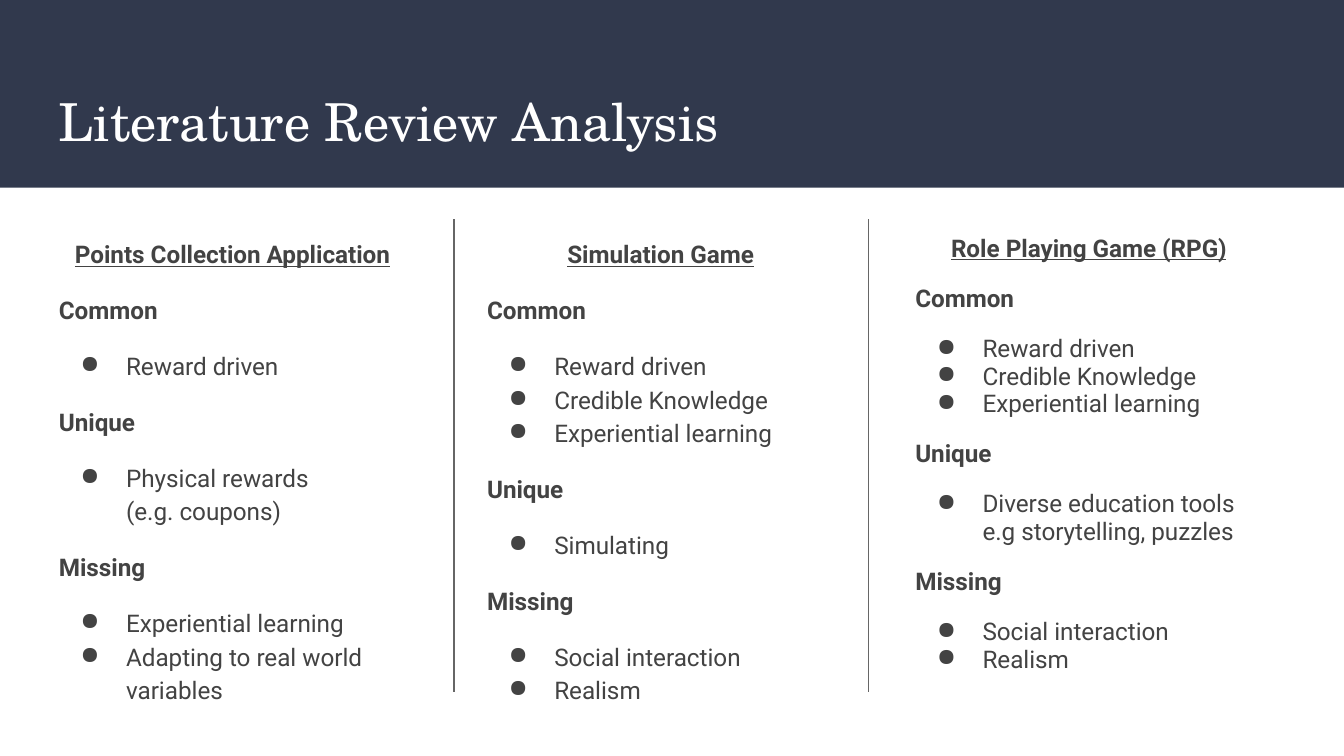
from dataclasses import dataclass

from lxml.etree import SubElement
from pptx import Presentation
from pptx.dml.color import RGBColor
from pptx.enum.shapes import MSO_CONNECTOR, MSO_SHAPE
from pptx.enum.text import MSO_ANCHOR, PP_ALIGN
from pptx.oxml.ns import qn
from pptx.util import Pt

NAVY, WHITE, TEXT_GREY, LINE_GREY = "31394D", "FFFFFF", "434343", "666666"
MARGIN = 24.5
BODY_TOP = 118.8
COLUMN_WIDTH = 200
COLUMN_PITCH = 229.4
SECTION_GAP = 12

TITLE_FORMAT = {"name": "TeX Gyre Schola", "size": Pt(28)}
BODY_FORMAT = {"name": "Roboto", "size": Pt(13), "bold": False}
LABEL_FORMAT = {**BODY_FORMAT, "bold": True}
HEADING_FORMAT = {**LABEL_FORMAT, "underline": True}


@dataclass
class Column:
    heading: str
    common: list[str]
    unique: list[str]
    missing: list[str]
    line_spacing: float = 1.15
    height: float = 267.8


COLUMNS = [
    Column("Points Collection Application",
           ["Reward driven"],
           ["Physical rewards \v(e.g. coupons)"],
           ["Experiential learning", "Adapting to real world variables"]),
    Column("Simulation Game",
           ["Reward driven", "Credible Knowledge", "Experiential learning"],
           ["Simulating"],
           ["Social interaction", "Realism"]),
    Column("Role Playing Game (RPG)",
           ["Reward driven", "Credible Knowledge", "Experiential learning"],
           ["Diverse education tools e.g storytelling, puzzles"],
           ["Social interaction", "Realism"],
           line_spacing=0.95, height=253.4),
]


def color(value: str) -> RGBColor:
    return RGBColor.from_string(value)


def add_text_frame(slide, left: float, top: float, width: float, height: float):
    frame = slide.shapes.add_textbox(Pt(left), Pt(top), Pt(width), Pt(height)).text_frame
    frame.word_wrap = True
    for side in ("left", "right", "top", "bottom"):
        setattr(frame, f"margin_{side}", Pt(7.2))
    return frame


def write(paragraph, text: str, text_format: dict, text_color: str) -> None:
    paragraph.text = text
    for run in paragraph.runs:
        for name, value in text_format.items():
            setattr(run.font, name, value)
        run.font.color.rgb = color(text_color)
    # Line breaks need the text size too
    for line_break in paragraph._p.findall(qn("a:br")):
        properties = SubElement(line_break, qn("a:rPr"))
        properties.set("sz", str(int(text_format["size"].pt * 100)))


def add_bullet(paragraph) -> None:
    properties = paragraph._p.get_or_add_pPr()
    properties.set("marL", str(Pt(36)))
    properties.set("indent", str(-Pt(24.5)))
    bullet_color = SubElement(properties, qn("a:buClr"))
    SubElement(bullet_color, qn("a:srgbClr")).set("val", TEXT_GREY)
    SubElement(properties, qn("a:buChar")).set("char", "●")


def add_column(slide, column: Column, left: float) -> None:
    frame = add_text_frame(slide, left, BODY_TOP, COLUMN_WIDTH, column.height)
    heading = frame.paragraphs[0]
    heading.alignment = PP_ALIGN.CENTER
    heading.line_spacing = column.line_spacing
    write(heading, column.heading, HEADING_FORMAT, TEXT_GREY)

    sections = {"Common": column.common, "Unique": column.unique, "Missing": column.missing}
    for label, items in sections.items():
        for index, text in enumerate([label, *items]):
            paragraph = frame.add_paragraph()
            paragraph.line_spacing = column.line_spacing
            paragraph.space_before = Pt(SECTION_GAP if index < 2 else 0)
            if index:
                add_bullet(paragraph)
            write(paragraph, text, BODY_FORMAT if index else LABEL_FORMAT, TEXT_GREY)


def add_divider(slide, x: float) -> None:
    line = slide.shapes.add_connector(
        MSO_CONNECTOR.STRAIGHT, Pt(x), Pt(117.4), Pt(x), Pt(370.8))
    line.line.color.rgb = color(LINE_GREY)
    line.line.width = Pt(0.75)
    SubElement(line._element.spPr, qn("a:effectLst"))


def main() -> None:
    presentation = Presentation()
    presentation.slide_width, presentation.slide_height = Pt(720), Pt(405)
    slide = presentation.slides.add_slide(presentation.slide_layouts[6])

    # Header band and title
    band = slide.shapes.add_shape(MSO_SHAPE.RECTANGLE, 0, 0, Pt(720), Pt(100.6))
    band.shadow.inherit = False
    band.fill.solid()
    band.fill.fore_color.rgb = color(NAVY)
    band.line.fill.background()
    title = add_text_frame(slide, MARGIN, 39.6, 671, 49)
    title.vertical_anchor = MSO_ANCHOR.BOTTOM
    write(title.paragraphs[0], "Literature Review Analysis", TITLE_FORMAT, WHITE)

    # Three columns of findings
    for index, column in enumerate(COLUMNS):
        add_column(slide, column, MARGIN + index * COLUMN_PITCH)

    # Dividers between the columns
    for x in (243.2, 465.2):
        add_divider(slide, x)

    presentation.save("out.pptx")


if __name__ == "__main__":
    main()
